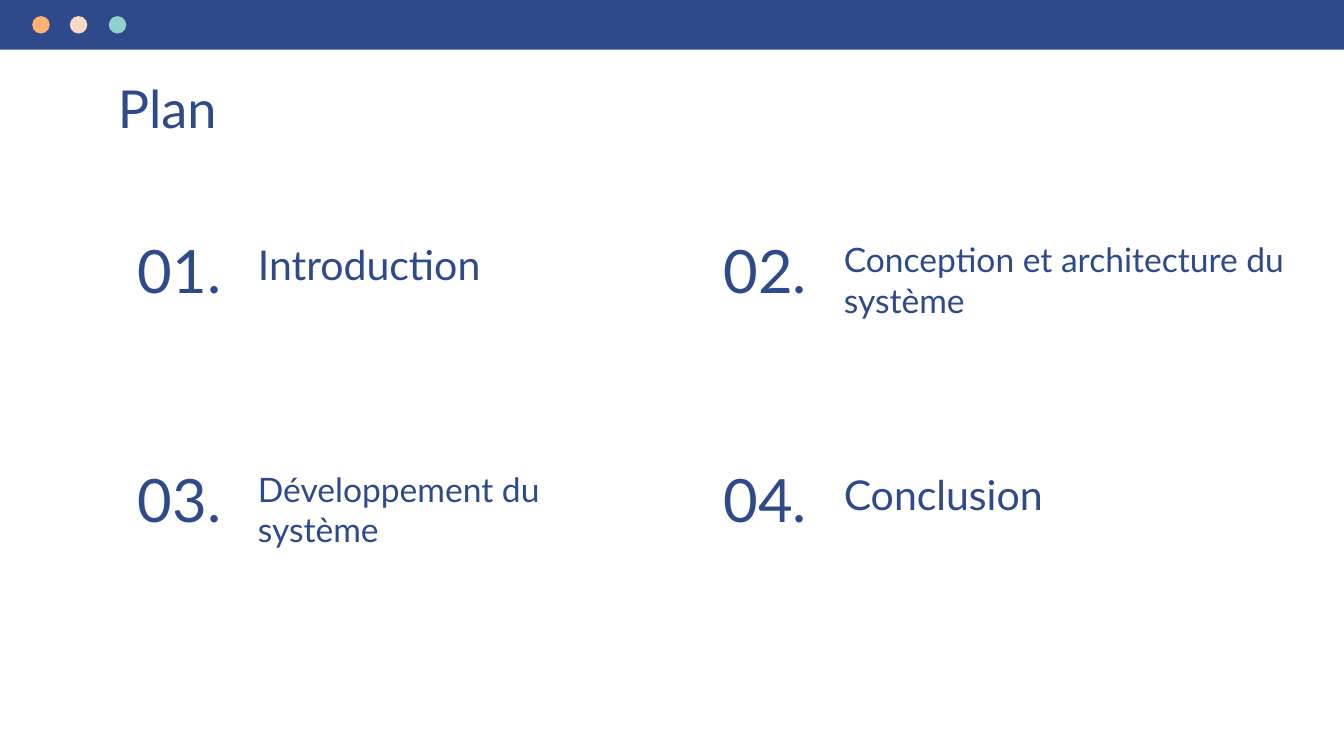
from pptx import Presentation
from pptx.dml.color import RGBColor
from pptx.enum.shapes import MSO_SHAPE as Shape
from pptx.enum.text import MSO_ANCHOR as Anchor, PP_ALIGN as Align
from pptx.util import Inches, Pt

FONT = "Lato"
NAVY = "2F4A8A"
DOTS = [(0.24, "FFB172"), (0.52, "F8DBC4"), (0.81, "90D1CB")]
COLUMNS = [0.84, 5.2]
ROWS = [1.68, 3.39]

# Heading, text size, box width, box height; read row by row
SECTIONS = [
    ("Introduction", 22, 2.92, 0.51),
    ("Conception et architecture du système", 18, 3.51, 0.51),
    ("Développement du système", 18, 3.08, 0.75),
    ("Conclusion", 22, 2.98, 0.51),
]


def rgb(color):
    return RGBColor.from_string(color)


class SlideBuilder:
    """Holds the current slide and draws in the deck's style."""

    def __init__(self, slide):
        self.slide = slide

    def text(self, text, left, top, width, height, size,
             align=Align.LEFT, anchor=Anchor.TOP):
        box = self.slide.shapes.add_textbox(
            Inches(left), Inches(top), Inches(width), Inches(height))
        frame = box.text_frame
        frame.word_wrap = True
        frame.vertical_anchor = anchor
        frame.margin_left = frame.margin_right = Inches(0.1)
        frame.margin_top = frame.margin_bottom = Inches(0.1)
        paragraph = frame.paragraphs[0]
        paragraph.text = text
        paragraph.alignment = align
        paragraph.font.name = FONT
        paragraph.font.size = Pt(size)
        paragraph.font.color.rgb = rgb(NAVY)

    def shape(self, kind, left, top, width, height, color):
        shape = self.slide.shapes.add_shape(
            kind, Inches(left), Inches(top), Inches(width), Inches(height))
        shape.shadow.inherit = False
        shape.fill.solid()
        shape.fill.fore_color.rgb = rgb(color)
        shape.line.fill.background()

    def section(self, number, left, top, heading, size, width, height):
        self.text(heading, left + 0.98, top, width, height, size)
        self.text(f"{number:02}.", left, top + 0.05, 0.99, 0.64, 32,
                  Align.CENTER, Anchor.BOTTOM)

    def window_bar(self):
        self.shape(Shape.RECTANGLE, 0, 0, 10, 0.37, NAVY)
        for left, color in DOTS:
            self.shape(Shape.OVAL, left, 0.12, 0.13, 0.13, color)


def main():
    presentation = Presentation()
    presentation.slide_width = Inches(10)
    presentation.slide_height = presentation.slide_width * 9 // 16
    slide = presentation.slides.add_slide(presentation.slide_layouts[6])

    builder = SlideBuilder(slide)
    builder.text("Plan", 0.78, 0.47, 8.44, 0.51, 28)
    for index, section in enumerate(SECTIONS):
        row, column = divmod(index, len(COLUMNS))
        builder.section(index + 1, COLUMNS[column], ROWS[row], *section)
    builder.window_bar()

    presentation.save("out.pptx")


if __name__ == "__main__":
    main()
